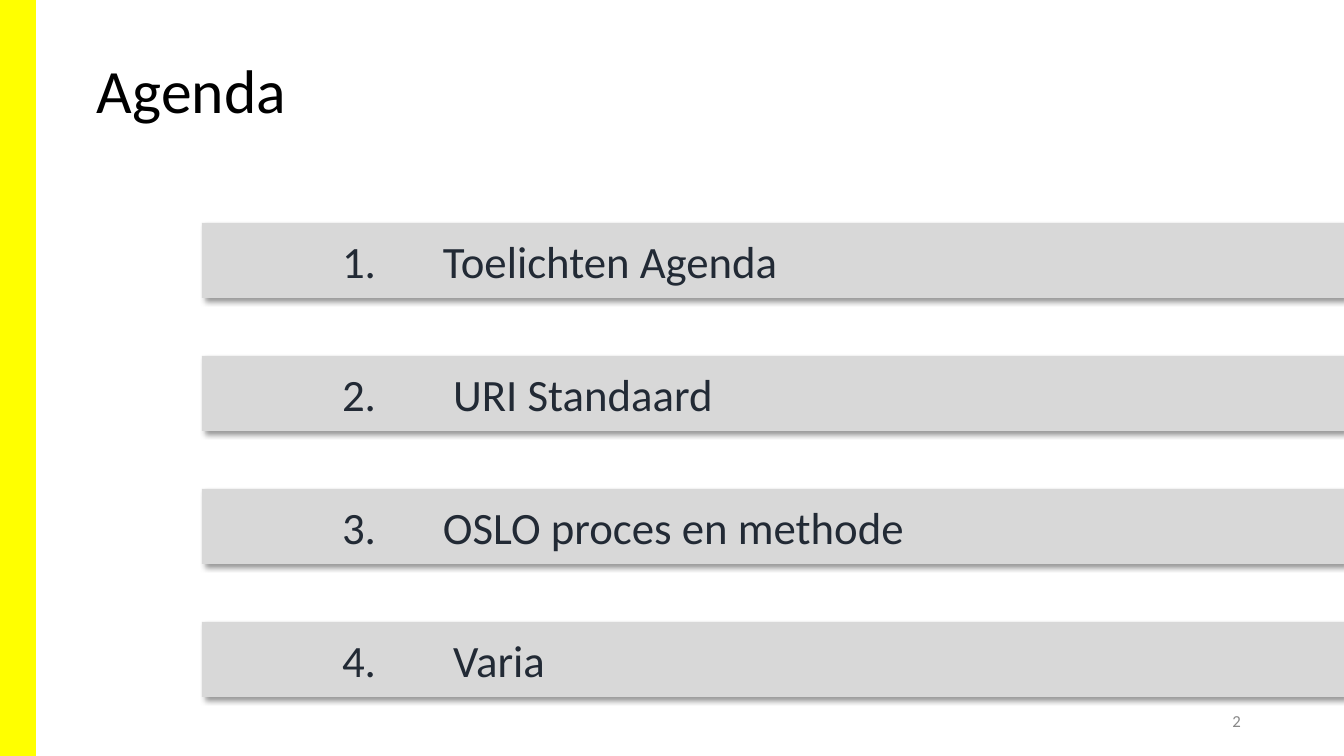
from lxml.etree import SubElement
from pptx import Presentation
from pptx.dml.color import RGBColor
from pptx.enum.shapes import MSO_SHAPE
from pptx.enum.text import MSO_ANCHOR, PP_ALIGN
from pptx.oxml.ns import qn
from pptx.util import Emu, Pt

BLACK = RGBColor(0x00, 0x00, 0x00)
YELLOW = RGBColor(0xFF, 0xFF, 0x00)
SILVER = RGBColor(0xD8, 0xD8, 0xD8)
NAVY = RGBColor(0x22, 0x2A, 0x35)
GRAY = RGBColor(0x88, 0x88, 0x88)
FONT = "Calibri"
WIDE, HIGH = 1344, 756
TOPICS = ["1. \tToelichten Agenda", "2.\t URI Standaard",
          "3.\tOSLO proces en methode", "4.\t Varia"]


def px(num):
    return Emu(round(num * 914400 / 100.8))


def write(shape, text, size, color, align=PP_ALIGN.LEFT, inset=10):
    frame = shape.text_frame
    frame.word_wrap = True
    frame.vertical_anchor = MSO_ANCHOR.MIDDLE
    frame.margin_left = frame.margin_right = px(inset)
    frame.margin_top = frame.margin_bottom = px(5)
    para = frame.paragraphs[0]
    para.alignment = align
    run = para.add_run()
    run.text = text
    run.font.name = FONT
    run.font.size = Pt(size)
    run.font.color.rgb = color
    return para


def add_text(slide, box, *args, **opts):
    shape = slide.shapes.add_textbox(*map(px, box))
    return write(shape, *args, **opts)


def add_bar(slide, box, fill):
    bar = slide.shapes.add_shape(MSO_SHAPE.RECTANGLE, *map(px, box))
    bar.shadow.inherit = False
    bar.fill.solid()
    bar.fill.fore_color.rgb = fill
    bar.line.fill.background()
    return bar


def add_shadow(shape):
    effects = shape.element.spPr.find(qn("a:effectLst"))
    outer = SubElement(effects, qn("a:outerShdw"), blurRad=str(Pt(4)),
                       dist=str(Pt(3)), dir="2700000", algn="tl",
                       rotWithShape="0")
    color = SubElement(outer, qn("a:srgbClr"), val=str(BLACK))
    SubElement(color, qn("a:alpha"), val="40000")


def add_topic(slide, top, text):
    bar = add_bar(slide, (202, top, WIDE - 202, 75), SILVER)
    add_shadow(bar)
    para = write(bar, text, 32, NAVY)
    props = para._p.get_or_add_pPr()
    props.set("marL", str(px(231)))
    props.set("indent", str(-px(101)))


def main():
    deck = Presentation()
    deck.slide_width, deck.slide_height = px(WIDE), px(HIGH)
    slide = deck.slides.add_slide(deck.slide_layouts[6])
    add_bar(slide, (0, 0, 36, HIGH), YELLOW)
    title = add_text(slide, (92, 11, 907, 166), "Agenda", 44, BLACK, inset=5)
    title.line_spacing = 0.9
    for row, topic in enumerate(TOPICS):
        add_topic(slide, 223 + row * 133, topic)
    add_text(slide, (949, 701, 302, 40), "2", 12, GRAY, PP_ALIGN.RIGHT)
    deck.save("out.pptx")


if __name__ == "__main__":
    main()
